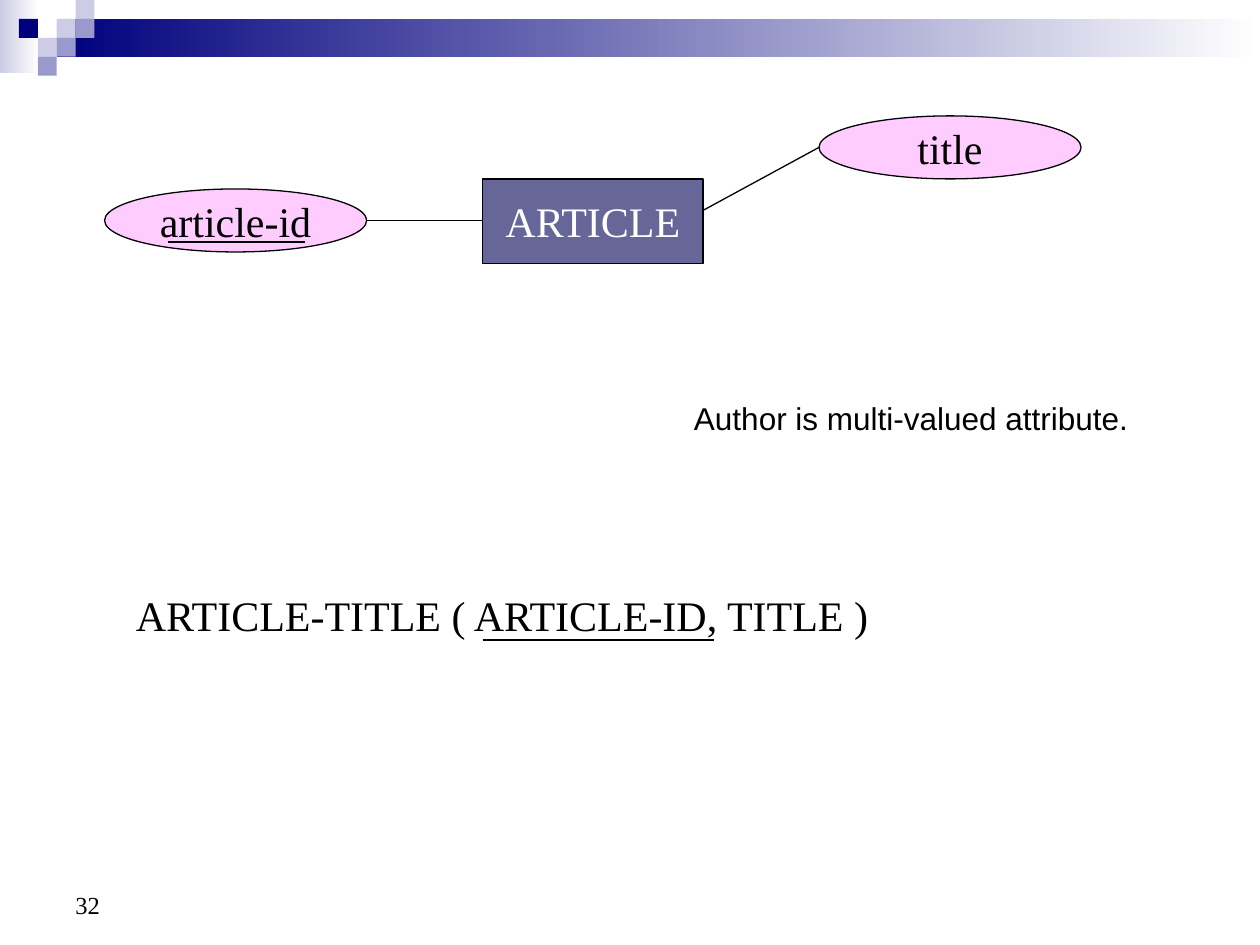
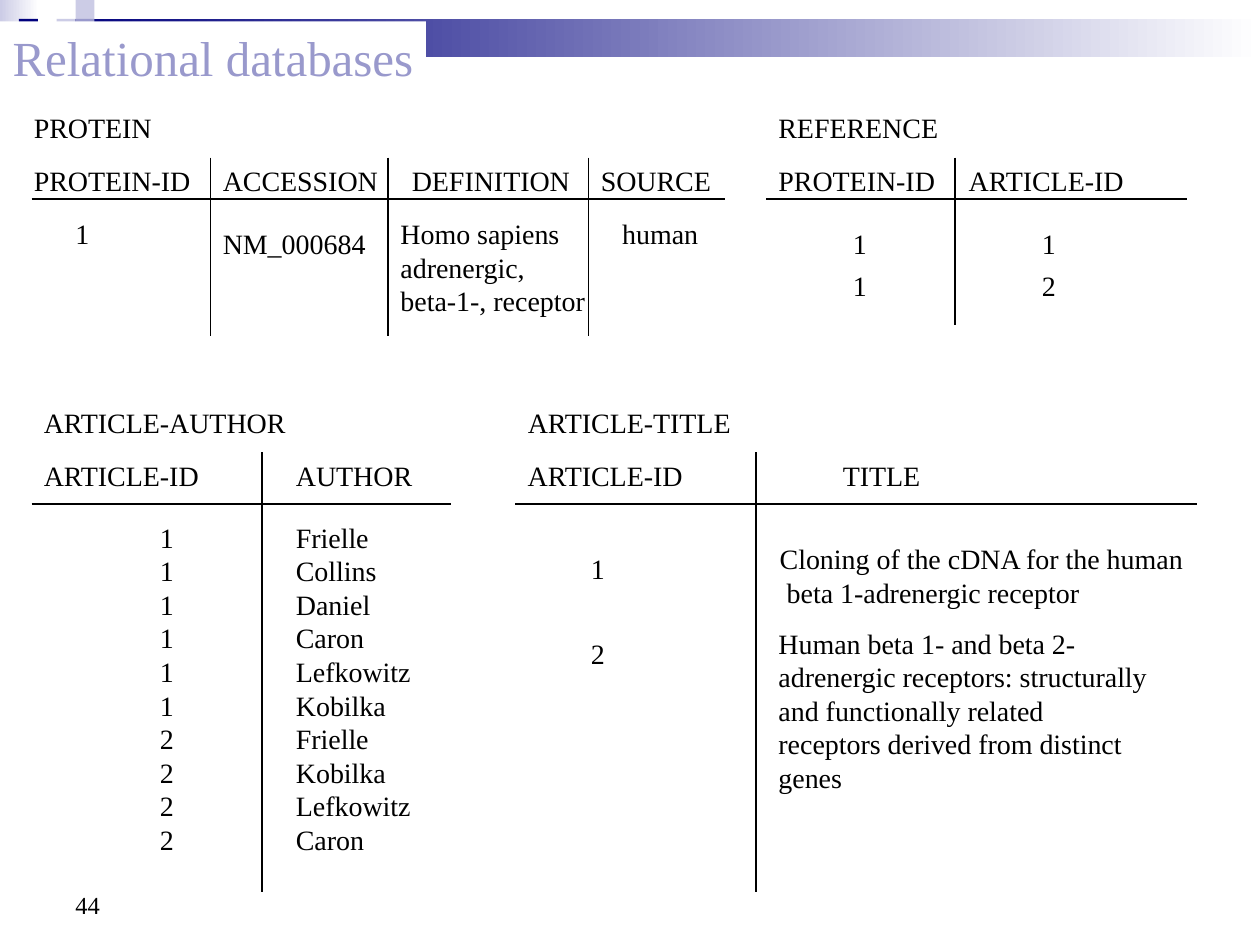
from dataclasses import dataclass

from lxml import etree
from pptx import Presentation
from pptx import util as u
from pptx.dml import color as dml
from pptx.enum import shapes, text
from pptx.oxml import ns


@dataclass(frozen=True)
class Theme:
    serif: str = "Times New Roman"
    sans: str = "Arial"
    ink: str = "000000"
    white: str = "FFFFFF"
    navy: str = "00007D"
    lilac: str = "9999CC"
    pale: str = "CCCCE6"
    attribute: str = "FFCCFF"
    entity: str = "666699"
    title_size: int = 28
    diagram_size: int = 24
    note_size: int = 18
    cell_size: int = 16
    number_size: int = 14
    rule: float = 0.75


THEME = Theme()
RECT = shapes.MSO_SHAPE.RECTANGLE
OVAL = shapes.MSO_SHAPE.OVAL


# Shared building parts
def rgb(value):
    return dml.RGBColor.from_string(value)


def write(shape, words, size, color=THEME.ink, font=THEME.serif, align=text.PP_ALIGN.LEFT,
          anchor=text.MSO_ANCHOR.TOP, wrap=False, right=0.1):
    frame = shape.text_frame
    frame_format = {
        "auto_size": text.MSO_AUTO_SIZE.NONE, "word_wrap": wrap, "vertical_anchor": anchor,
        "margin_left": u.Inches(0.1), "margin_right": u.Inches(right),
        "margin_top": u.Inches(0.05), "margin_bottom": u.Inches(0.05),
    }
    for name, value in frame_format.items():
        setattr(frame, name, value)
    frame.text = words
    for para in frame.paragraphs:
        para.alignment = align
        for name, value in {"name": font, "size": u.Pt(size)}.items():
            setattr(para.font, name, value)
        para.font.color.rgb = rgb(color)


def add_text(page, words, left, top, width, size, height=None, **options):
    if height is None:
        height = 0.1 + size / 60 * len(words.split("\n"))
    box = page.shapes.add_textbox(*map(u.Inches, (left, top, width, height)))
    write(box, words, size, **options)


def add_block(page, kind, box, color, fade=False, outlined=False):
    shape = page.shapes.add_shape(kind, *map(u.Inches, box))
    shape.shadow.inherit = False
    if fade:
        shape.fill.gradient()
        shape.fill.gradient_angle = 0
        for stop, tone in zip(shape.fill.gradient_stops, (color, THEME.white)):
            stop.color.rgb = rgb(tone)
    else:
        shape.fill.solid()
        shape.fill.fore_color.rgb = rgb(color)
    if outlined:
        shape.line.color.rgb = rgb(THEME.ink)
        shape.line.width = u.Pt(THEME.rule)
    else:
        shape.line.fill.background()
    return shape


def add_line(page, *ends):
    line = page.shapes.add_connector(shapes.MSO_CONNECTOR.STRAIGHT, *map(u.Inches, ends))
    line.line.color.rgb = rgb(THEME.ink)
    line.line.width = u.Pt(THEME.rule)
    etree.SubElement(line.element.spPr, ns.qn("a:effectLst"))


# Gradient band with checker squares, and page number
def add_frame(page, number, square_rows):
    add_block(page, RECT, (0, 0, 0.31, 0.58), THEME.pale, fade=True)
    add_block(page, RECT, (0.45, 0.15, 9.55, 0.3), THEME.navy, fade=True)
    side = 0.15
    squares = [
        (3, 1, THEME.pale), (4, 0, THEME.pale), (4, 1, THEME.lilac), (1, 1, THEME.navy),
        (2, 2, THEME.pale), (3, 2, THEME.lilac), (2, 3, THEME.lilac),
    ]
    for column, row, color in squares:
        if row < square_rows:
            add_block(page, RECT, (column * side, row * side, side, side), color)
    add_text(page, str(number), 0.5, 6.83, 2.33, THEME.number_size, height=0.52,
             anchor=text.MSO_ANCHOR.BOTTOM, wrap=True)


# Entity diagram: each node holds its own centred label
def add_node(page, kind, label, box, fill, color=THEME.ink):
    node = add_block(page, kind, box, fill, outlined=True)
    write(node, label, THEME.diagram_size, color,
          align=text.PP_ALIGN.CENTER, anchor=text.MSO_ANCHOR.MIDDLE)


def add_article_diagram(page, left, top):
    width, height = 2.08, 0.5
    add_node(page, OVAL, "article-id", (left, top + 0.58, width, height), THEME.attribute)
    add_node(page, OVAL, "title", (left + 5.67, top, width, height), THEME.attribute)
    add_node(page, RECT, "ARTICLE", (left + 3, top + 0.5, 1.75, 0.67),
             THEME.entity, THEME.white)
    add_line(page, left + 4.75, top + 0.75, left + 5.67, top + 0.25)
    add_line(page, left + 3, top + 0.83, left + width, top + 0.83)
    add_line(page, left + 0.5, top + 1, left + 1.59, top + 1)  # key underline


def add_diagram_page(deck):
    page = deck.slides.add_slide(deck.slide_layouts[6])
    add_frame(page, 32, square_rows=4)
    add_article_diagram(page, 0.83, 0.92)
    add_text(page, "ARTICLE-TITLE ( ARTICLE-ID, TITLE )", 0.98, 4.63, 6.08,
             THEME.diagram_size)
    add_line(page, 3.83, 5.08, 5.67, 5.08)
    add_text(page, "Author is multi-valued attribute.", 5.41, 3.12, 3.64,
             THEME.note_size, font=THEME.sans)


# Relation: name, header row, rules and values, all measured from its corner
def add_relation(page, left, top, name, headers, values, across, dividers, rule_y, bottom):
    header_y = 0.42
    add_text(page, name[0], left, top, name[1], THEME.cell_size)
    for label, x, width in headers:
        add_text(page, label, left + x, top + header_y, width, THEME.cell_size)
    for words, x, y, width, wrap in values:
        add_text(page, words, left + x, top + y, width, THEME.cell_size, wrap=wrap)
    add_line(page, left + across[0], top + rule_y, left + across[1], top + rule_y)
    for x in dividers:
        add_line(page, left + x, top + header_y, left + x, top + bottom)


RELATIONS = [
    dict(
        left=0.17, top=0.83, name=("PROTEIN", 1.13),
        headers=[("PROTEIN-ID", 0, 1.44), ("ACCESSION", 1.5, 1.43),
                 ("DEFINITION", 3, 1.45), ("SOURCE", 4.5, 1.07)],
        values=[("1", 0.33, 0.84, 0.31, True), ("NM_000684", 1.5, 0.92, 1.33, False),
                ("Homo sapiens adrenergic,\nbeta-1-, receptor", 2.91, 0.84, 1.71, True),
                ("human", 4.67, 0.84, 0.8, False)],
        across=(0.08, 5.58), dividers=(1.5, 2.91, 4.5), rule_y=0.75, bottom=1.84,
    ),
    dict(
        left=6.08, top=0.83, name=("REFERENCE", 1.47),
        headers=[("PROTEIN-ID", 0, 1.5), ("ARTICLE-ID", 1.51, 1.44)],
        values=[(key, x, y, 0.31, False)
                for y, keys in ((0.92, "11"), (1.25, "12"))
                for x, key in zip((0.59, 2.09), keys)],
        across=(0, 3.34), dividers=(1.5,), rule_y=0.75, bottom=1.75,
    ),
    dict(
        left=0.25, top=3.17, name=("ARTICLE-AUTHOR", 2.13),
        headers=[("ARTICLE-ID", 0, 1.44), ("AUTHOR", 2, 1.12)],
        values=[("\n".join("1111112222"), 0.92, 0.91, 0.31, False),
                ("Frielle\nCollins\nDaniel\nCaron\nLefkowitz\nKobilka\n"
                 "Frielle\nKobilka\nLefkowitz\nCaron", 2, 0.91, 1.11, False)],
        across=(0, 3.33), dividers=(1.83,), rule_y=0.83, bottom=3.91,
    ),
    dict(
        left=4.09, top=3.17, name=("ARTICLE-TITLE", 1.82),
        headers=[("ARTICLE-ID", 0, 1.44), ("TITLE", 2.5, 0.81)],
        values=[("1", 0.5, 1.16, 0.31, False), ("2", 0.5, 1.83, 0.31, False),
                ("Cloning of the cDNA for the human\n beta 1-adrenergic receptor",
                 2, 1.08, 3.47, False),
                ("Human beta 1- and beta 2-adrenergic receptors: structurally and "
                 "functionally related receptors derived from distinct\ngenes",
                 1.99, 1.75, 3.15, True)],
        across=(0, 5.41), dividers=(1.91,), rule_y=0.83, bottom=3.91,
    ),
]


def add_title(page, words):
    title = page.shapes.title
    place = dict(zip(("left", "top", "width", "height"), (0, 0.17, 3.38, 0.57)))
    for name, value in place.items():
        setattr(title, name, u.Inches(value))
    title.fill.solid()
    title.fill.fore_color.rgb = rgb(THEME.white)
    write(title, words, THEME.title_size, THEME.lilac, right=0)  # room for one line
    title.element.getparent().append(title.element)  # in front of the band


def add_relations_page(deck):
    page = deck.slides.add_slide(deck.slide_layouts[5])
    add_frame(page, 44, square_rows=2)
    for relation in RELATIONS:
        add_relation(page, **relation)
    add_title(page, "Relational databases")


def main():
    deck = Presentation()
    deck.slide_width, deck.slide_height = u.Inches(10), u.Inches(7.5)
    add_diagram_page(deck)
    add_relations_page(deck)
    deck.save("out.pptx")


if __name__ == "__main__":
    main()
